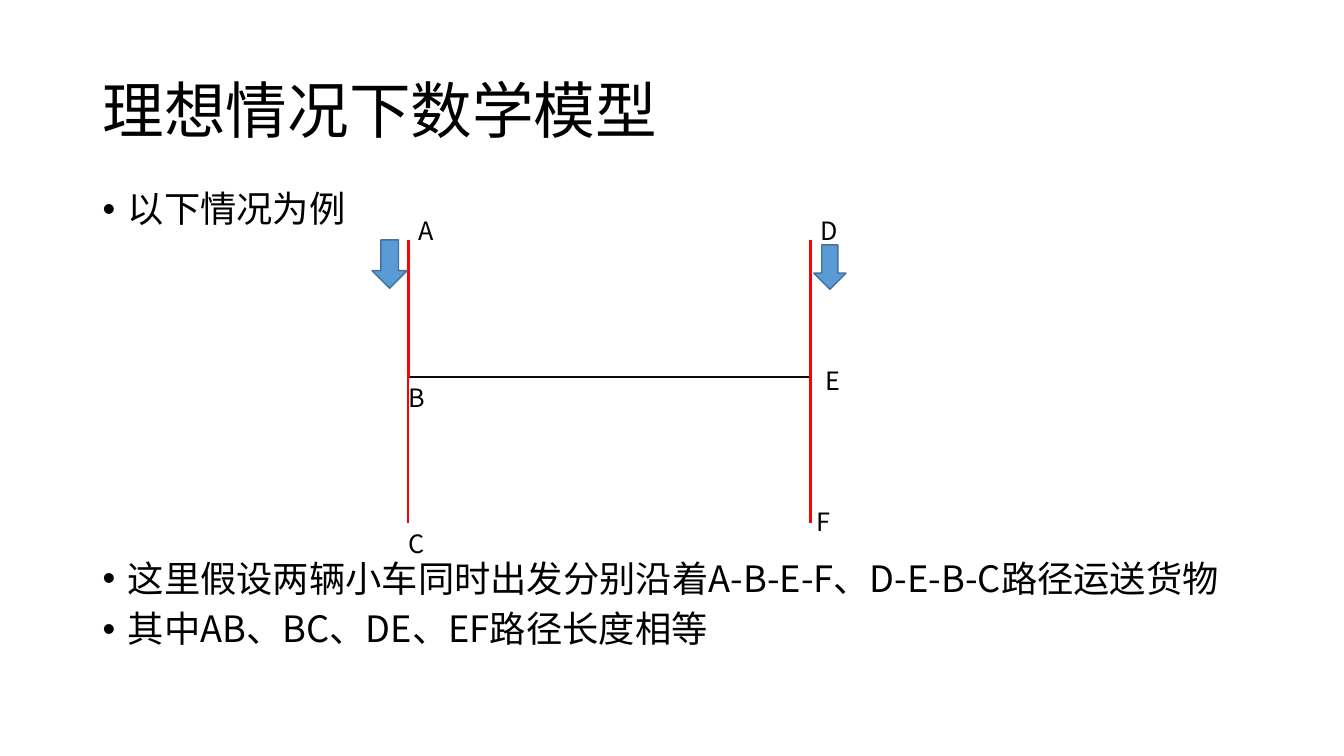
from pptx import Presentation
from pptx.util import Inches, Pt
from pptx.dml.color import RGBColor
from pptx.enum.shapes import MSO_CONNECTOR, MSO_SHAPE
from pptx.enum.text import MSO_ANCHOR
from pptx.oxml.ns import qn
from lxml.etree import SubElement

FONT = "Noto Sans CJK SC"
HUE = {"text": "000000", "road": "0D0D0D", "lane": "FF0000",
       "arrow": "5B9BD5", "edge": "43739E"}

deck = Presentation()
deck.slide_width, deck.slide_height = Inches(13.33), Inches(7.5)
slide = deck.slides.add_slide(deck.slide_layouts[6])


def color(name):
    return RGBColor.from_string(HUE[name])


def add_text(box, lines, size, wrap=True):
    shape = slide.shapes.add_textbox(*map(Inches, box))
    frame = shape.text_frame
    frame.text = "\n".join(lines)
    frame.word_wrap = wrap
    for para in frame.paragraphs:
        for run in para.runs:
            run.font.size = Pt(size)
            run.font.name = FONT
            run.font.color.rgb = color("text")
            SubElement(run.font._element, qn("a:ea"), typeface=FONT)
    return frame


# Title
title = add_text((0.92, 0.4, 11.5, 1.45), ["理想情况下数学模型"], 44)
title.vertical_anchor = MSO_ANCHOR.MIDDLE
title.paragraphs[0].line_spacing = 0.9

# Bullets, with a gap for the diagram after the first
body = add_text((0.92, 1.85, 11.5, 4.76), [
    "以下情况为例",
    "这里假设两辆小车同时出发分别沿着A-B-E-F、D-E-B-C路径运送货物",
    "其中AB、BC、DE、EF路径长度相等"], 25.9)
for para, gap in zip(body.paragraphs, (0, 236, 8)):
    para.line_spacing = 0.9
    para.space_before = Pt(gap)
    props = para._p.get_or_add_pPr()
    props.set("marL", str(Inches(0.25)))
    props.set("indent", str(-Inches(0.25)))
    SubElement(props, qn("a:buFont"), typeface="Arial")
    SubElement(props, qn("a:buChar"), char="•")

# Roads: one crossing and two lanes, each in two halves
left, right = 4.05, 8.04
top, mid, low = 2.38, 3.74, 5.19
for x1, y1, x2, y2, hue, width in (
        (left, mid, right, mid, "road", 2),
        (left, mid, left, low, "lane", 1.5),
        (right, mid, right, top, "lane", 2.25),
        (left, top, left, mid, "lane", 2.25),
        (right, mid, right, low, "lane", 2.25)):
    line = slide.shapes.add_connector(
        MSO_CONNECTOR.STRAIGHT, *map(Inches, (x1, y1, x2, y2)))
    line.line.color.rgb = color(hue)
    line.line.width = Pt(width)
    SubElement(line._element.spPr, qn("a:effectLst"))

# Point names
for name, x, y, width in (
        ("A", 4.05, 2.09, 0.36), ("C", 3.95, 5.19, 0.34),
        ("F", 8, 4.97, 0.32), ("D", 8.04, 2.09, 0.38),
        ("B", 3.95, 3.74, 0.34), ("E", 8.09, 3.58, 0.33)):
    add_text((x, y, width, 0.4), [name], 18, wrap=False)

# Start arrows
for box in ((3.69, 2.38, 0.35, 0.48), (8.07, 2.43, 0.32, 0.44)):
    arrow = slide.shapes.add_shape(MSO_SHAPE.DOWN_ARROW, *map(Inches, box))
    arrow.shadow.inherit = False
    arrow.fill.solid()
    arrow.fill.fore_color.rgb = color("arrow")
    arrow.line.color.rgb = color("edge")
    arrow.line.width = Pt(1)

deck.save("out.pptx")
